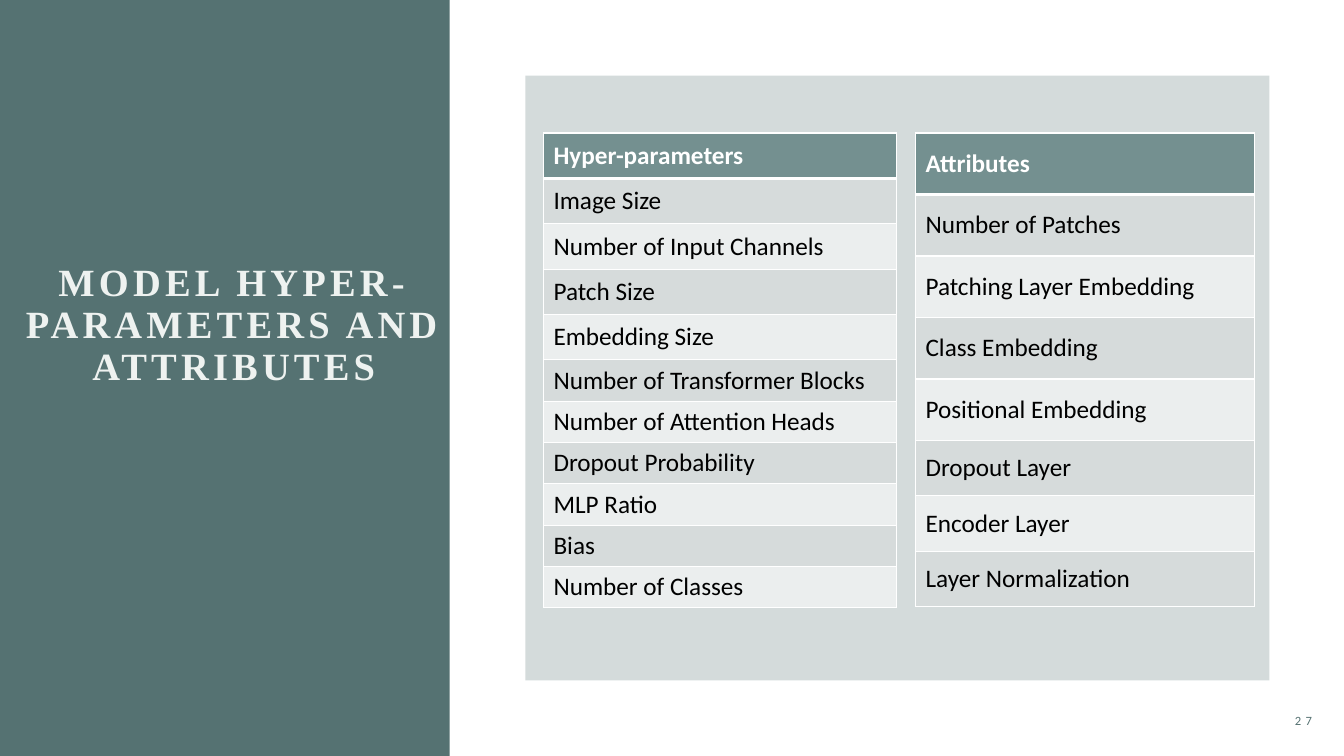
from dataclasses import dataclass

from lxml import etree
from pptx import Presentation
from pptx import util as u
from pptx.dml.color import RGBColor
from pptx.enum import shapes, text
from pptx.oxml.ns import qn

TEAL, HEADER, WHITE = "557272", "749090", "FFFFFF"
BANDS = ("D6DBDB", "EBEEEE")
TABLE_TOP = 1.32


@dataclass
class ListTable:
    left: float
    width: float
    tall: float  # height of the header and first four rows
    short: float  # height of the remaining rows
    rows: list[str]


@dataclass
class Label:
    box: tuple[float, float, float, float]
    words: str
    font: str
    size: float
    color: str
    align: text.PP_ALIGN
    bold: bool = False
    line_spacing: float = 1.0


TABLES = [
    ListTable(5.39, 3.5, 0.45, 0.41, [
        "Hyper-parameters", "Image Size", "Number of Input Channels", "Patch Size",
        "Embedding Size", "Number of Transformer Blocks", "Number of Attention Heads",
        "Dropout Probability", "MLP Ratio", "Bias", "Number of Classes"]),
    ListTable(9.08, 3.36, 0.61, 0.55, [
        "Attributes", "Number of Patches", "Patching Layer Embedding", "Class Embedding",
        "Positional Embedding", "Dropout Layer", "Encoder Layer", "Layer Normalization"]),
]
LABELS = [
    Label((0, 0.75, 4.64, 4.97), "MODEL HYPER-PARAMETERS AND ATTRIBUTES",
          "Times New Roman", 27.5, "EEF2F0", text.PP_ALIGN.CENTER, True, 0.9),
    Label((12.16, 6.95, 0.95, 0.4), "27", "Calibri", 9, TEAL, text.PP_ALIGN.RIGHT),
]


def rgb(value: str) -> RGBColor:
    return RGBColor.from_string(value)


def style_font(p, name: str, size: float, color: str, bold: bool) -> None:
    p.font.name, p.font.size, p.font.bold = name, u.Pt(size), bold
    p.font.color.rgb = rgb(color)


def add_panel(slide, box: tuple[float, float, float, float], opacity: int = 100) -> None:
    sp = slide.shapes.add_shape(shapes.MSO_SHAPE.RECTANGLE, *map(u.Inches, box))
    sp.shadow.inherit = False
    sp.fill.solid()
    sp.fill.fore_color.rgb = rgb(TEAL)
    sp.line.fill.background()
    if opacity < 100:
        color = sp.fill._xPr.find(".//" + qn("a:srgbClr"))
        etree.SubElement(color, qn("a:alpha"), val=str(opacity * 1000))


def add_label(slide, label: Label) -> None:
    tf = slide.shapes.add_textbox(*map(u.Inches, label.box)).text_frame
    tf.word_wrap = True
    tf.vertical_anchor = text.MSO_ANCHOR.MIDDLE
    p = tf.paragraphs[0]
    p.alignment, p.line_spacing = label.align, label.line_spacing
    r = p.add_run()
    r.text = label.words
    style_font(p, label.font, label.size, label.color, label.bold)
    # Letter spacing of 3 pt
    r.font._element.set("spc", "300")


def set_borders(cell, top: float, bottom: float) -> None:
    tc_pr = cell._tc.get_or_add_tcPr()
    for side, width in (("L", 1), ("R", 1), ("T", top), ("B", bottom)):
        ln = etree.SubElement(tc_pr, qn(f"a:ln{side}"), w=str(u.Pt(width)))
        fill = etree.SubElement(ln, qn("a:solidFill"))
        etree.SubElement(fill, qn("a:srgbClr"), val=WHITE)


def add_list_table(slide, spec: ListTable) -> None:
    heights = [spec.tall if i < 5 else spec.short for i in range(len(spec.rows))]
    table = slide.shapes.add_table(
        len(spec.rows), 1, u.Inches(spec.left), u.Inches(TABLE_TOP),
        u.Inches(spec.width), u.Inches(sum(heights))).table
    for i, (words, height) in enumerate(zip(spec.rows, heights)):
        table.rows[i].height = u.Inches(height)
        cell = table.cell(i, 0)
        cell.text = words
        cell.vertical_anchor = text.MSO_ANCHOR.MIDDLE
        is_header = i == 0
        style_font(cell.text_frame.paragraphs[0], "Calibri", 18,
                   WHITE if is_header else "000000", is_header)
        set_borders(cell, 3 if i == 1 else 1, 3 if is_header else 1)
        cell.fill.solid()
        cell.fill.fore_color.rgb = rgb(HEADER if is_header else BANDS[(i - 1) % 2])


def main() -> None:
    prs = Presentation()
    prs.slide_width, prs.slide_height = u.Inches(13.33), u.Inches(7.5)
    slide = prs.slides.add_slide(prs.slide_layouts[6])

    # Title band and translucent table panel
    add_panel(slide, (0, 0, 4.46, 7.5))
    add_panel(slide, (5.21, 0.75, 7.38, 6), opacity=25)

    # Tables
    for spec in TABLES:
        add_list_table(slide, spec)

    # Title and page number
    for label in LABELS:
        add_label(slide, label)

    prs.save("out.pptx")


if __name__ == "__main__":
    main()
